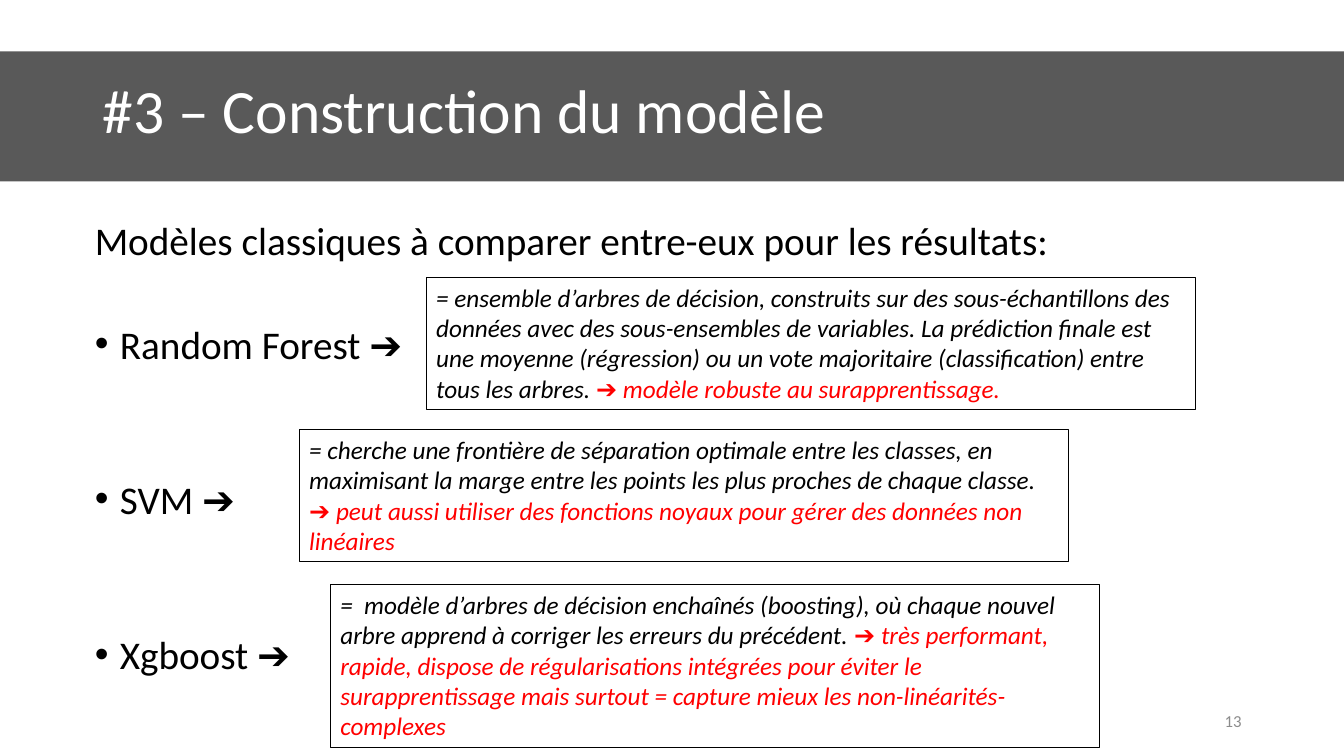
from dataclasses import dataclass

from lxml.etree import SubElement
from pptx import Presentation
from pptx.dml.color import RGBColor
from pptx.enum.shapes import MSO_SHAPE
from pptx.enum.text import MSO_ANCHOR, MSO_AUTO_SIZE, PP_ALIGN
from pptx.oxml.ns import qn
from pptx.util import Pt


@dataclass(frozen=True)
class Theme:
    """Colours, font and type sizes of the slide."""
    font: str = "Calibri"
    band: str = "595959"
    light: str = "FFFFFF"
    ink: str = "000000"
    accent: str = "FF0000"
    muted: str = "8C8C8C"
    title_size: float = 44
    body_size: float = 28
    note_size: float = 18
    number_size: float = 12


THEME = Theme()
SLIDE_WIDTH, SLIDE_HEIGHT = 960, 540
NOTE_WIDTH = 549.5

MODELS = [
    ("Random Forest ➔", (304.5, 198, NOTE_WIDTH, 94.5),
     "= ensemble d’arbres de décision, construits sur des sous-échantillons des données "
     "avec des sous-ensembles de variables. La prédiction finale est une moyenne (régression) "
     "ou un vote majoritaire (classification) entre tous les arbres. ",
     "➔ modèle robuste au surapprentissage."),
    ("SVM ➔", (213.75, 306.75, NOTE_WIDTH, 94.5),
     "= cherche une frontière de séparation optimale entre les classes, en maximisant "
     "la marge entre les points les plus proches de chaque classe. ",
     "➔ peut aussi utiliser des fonctions noyaux pour gérer des données non linéaires"),
    ("Xgboost ➔", (236, 417.5, NOTE_WIDTH, 116.5),
     "=  modèle d’arbres de décision enchaînés (boosting), où chaque nouvel arbre apprend "
     "à corriger les erreurs du précédent. ",
     "➔ très performant, rapide, dispose de régularisations intégrées pour éviter le "
     "surapprentissage mais surtout = capture mieux les non-linéarités-complexes"),
]


def add_text(paragraph, text, size, color=THEME.ink, italic=False):
    """Append a formatted run to a paragraph."""
    run = paragraph.add_run()
    run.text = text
    run.font.name = THEME.font
    run.font.size = Pt(size)
    run.font.italic = italic
    run.font.color.rgb = RGBColor.from_string(color)


def place(shape, box):
    """Move and size a shape to a box in points."""
    shape.left, shape.top, shape.width, shape.height = map(Pt, box)


def set_bullet(paragraph, indent=0):
    """Give a paragraph a hanging bullet, or none without an indent."""
    properties = paragraph._p.get_or_add_pPr()
    properties.set("marL", str(Pt(indent)))
    properties.set("indent", str(-Pt(indent)))
    if indent:
        SubElement(properties, qn("a:buFont"), typeface="Arial")
        SubElement(properties, qn("a:buChar"), char="•")
    else:
        SubElement(properties, qn("a:buNone"))


def add_box(slide, box):
    """Add a plain rectangle without shadow."""
    shape = slide.shapes.add_shape(MSO_SHAPE.RECTANGLE, *map(Pt, box))
    shape.shadow.inherit = False
    return shape


def add_header(slide, box):
    """Draw the band and set the title over it."""
    left, top, width, height = box
    band = add_box(slide, box)
    band.fill.solid()
    band.fill.fore_color.rgb = RGBColor.from_string(THEME.band)
    band.line.fill.background()
    slide.shapes._spTree.insert(2, band._element)

    title = slide.shapes.title
    place(title, (left + 66, top - 8, 828, height + 11.5))
    frame = title.text_frame
    frame.auto_size = MSO_AUTO_SIZE.NONE
    frame.vertical_anchor = MSO_ANCHOR.MIDDLE
    paragraph = frame.paragraphs[0]
    paragraph.alignment = PP_ALIGN.LEFT
    paragraph.line_spacing = 0.9
    add_text(paragraph, "#3 – Construction du modèle", THEME.title_size, THEME.light)


def add_model_list(slide, box):
    """Fill the body with the introduction and the model names."""
    body = slide.placeholders[1]
    place(body, box)
    frame = body.text_frame
    frame.auto_size = MSO_AUTO_SIZE.NONE
    frame.vertical_anchor = MSO_ANCHOR.TOP
    introduction = "Modèles classiques à comparer entre-eux pour les résultats:"
    lines = [(introduction, 0, 0)]
    lines += [(model[0], 18, 84 if index else 46.8) for index, model in enumerate(MODELS)]
    for index, (text, indent, space) in enumerate(lines):
        paragraph = frame.add_paragraph() if index else frame.paragraphs[0]
        paragraph.line_spacing = 0.8
        paragraph.space_before = Pt(space)
        set_bullet(paragraph, indent)
        add_text(paragraph, text, THEME.body_size)


def add_note(slide, box, definition, strength):
    """Add an outlined note with a definition and its highlighted strength."""
    note = add_box(slide, box)
    note.fill.background()
    note.line.color.rgb = RGBColor.from_string(THEME.ink)
    note.line.width = Pt(0.75)
    frame = note.text_frame
    frame.word_wrap = True
    frame.auto_size = MSO_AUTO_SIZE.SHAPE_TO_FIT_TEXT
    frame.vertical_anchor = MSO_ANCHOR.TOP
    paragraph = frame.paragraphs[0]
    paragraph.alignment = PP_ALIGN.LEFT
    add_text(paragraph, definition, THEME.note_size, italic=True)
    add_text(paragraph, strength, THEME.note_size, THEME.accent, italic=True)


def add_page_number(slide, box, number):
    """Set the page number at the right of its box."""
    frame = slide.shapes.add_textbox(*map(Pt, box)).text_frame
    frame.word_wrap = True
    frame.vertical_anchor = MSO_ANCHOR.MIDDLE
    paragraph = frame.paragraphs[0]
    paragraph.alignment = PP_ALIGN.RIGHT
    add_text(paragraph, number, THEME.number_size, THEME.muted)


def main():
    """Build and save the presentation."""
    presentation = Presentation()
    presentation.slide_width = Pt(SLIDE_WIDTH)
    presentation.slide_height = Pt(SLIDE_HEIGHT)
    slide = presentation.slides.add_slide(presentation.slide_layouts[1])
    add_header(slide, (0, 36.7, SLIDE_WIDTH, 92.9))
    add_page_number(slide, (678, 500.5, 216, 28.75), "13")
    add_model_list(slide, (60.5, 157.7, 828, 342.7))
    for _, box, definition, strength in MODELS:
        add_note(slide, box, definition, strength)
    presentation.save("out.pptx")


if __name__ == "__main__":
    main()
